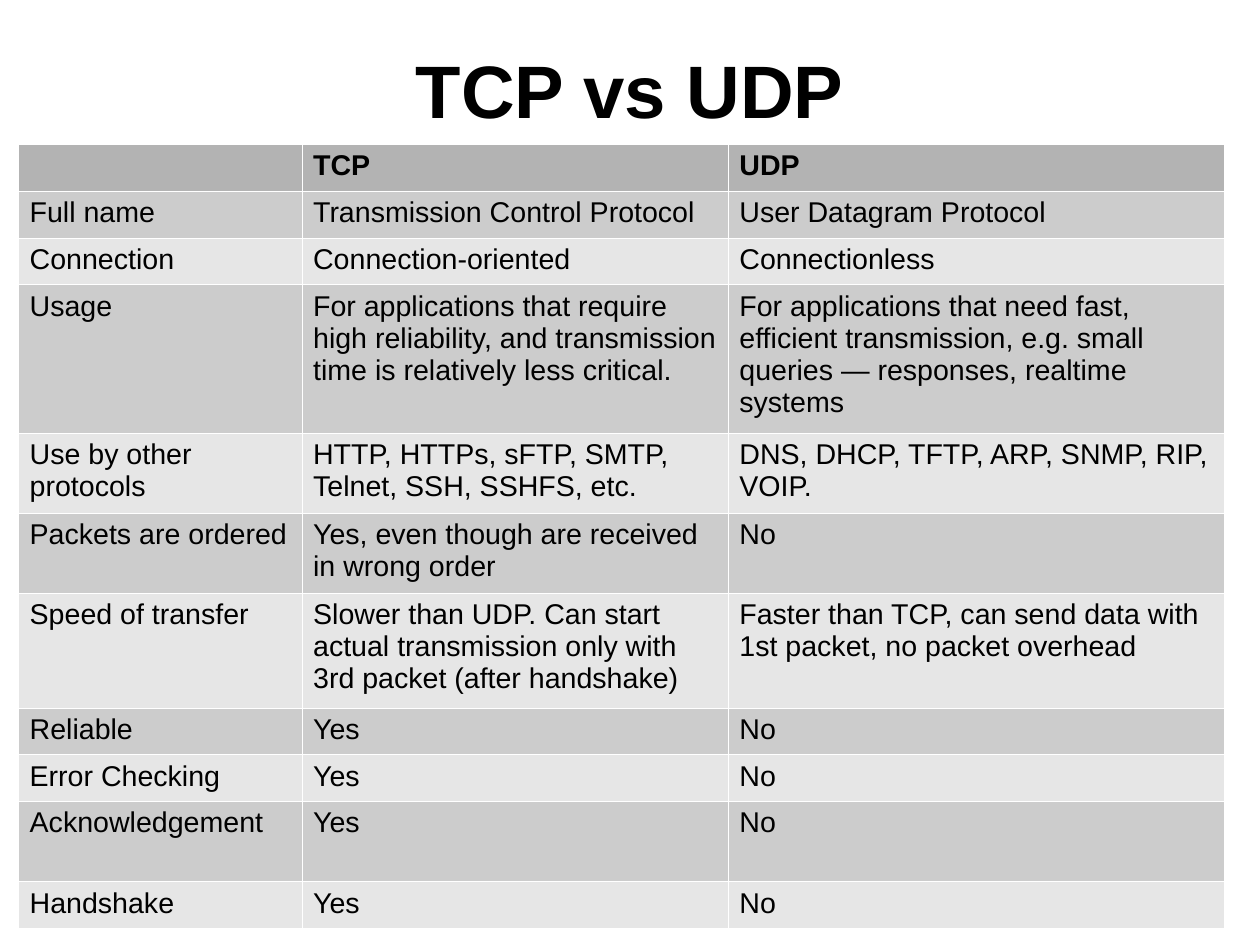
from dataclasses import dataclass

from lxml import etree
from pptx import Presentation
from pptx import util as u
from pptx.dml.color import RGBColor
from pptx.enum import text
from pptx.oxml import ns


@dataclass(frozen=True)
class Theme:
    font: str = "Arial"
    ink: str = "000000"
    header: str = "B3B3B3"
    bands: tuple = ("CCCCCC", "E6E6E6")
    border: str = "FFFFFF"
    border_width: float = 0.06
    title_size: float = 46.8
    body_size: float = 18


THEME = Theme()
SLIDE_SIZE = (u.Emu(10080625), u.Emu(7559675))
COLUMN_WIDTHS = (2.48, 3.73, 4.34)
COMPARISON = (
    (0.41, "", "TCP", "UDP"),
    (0.41, "Full name", "Transmission Control Protocol", "User Datagram Protocol"),
    (0.41, "Connection", "Connection-oriented", "Connectionless"),
    (1.3, "Usage",
     "For applications that require high reliability, and transmission time is relatively less critical.",
     "For applications that need fast, efficient transmission, e.g. small queries — responses, realtime systems"),
    (0.7, "Use by other protocols",
     "HTTP, HTTPs, sFTP, SMTP, Telnet, SSH, SSHFS, etc.",
     "DNS, DHCP, TFTP, ARP, SNMP, RIP, VOIP."),
    (0.7, "Packets are ordered", "Yes, even though are received in wrong order", "No"),
    (1, "Speed of transfer",
     "Slower than UDP. Can start actual transmission only with 3rd packet (after handshake)",
     "Faster than TCP, can send data with 1st packet, no packet overhead"),
    (0.41, "Reliable", "Yes", "No"),
    (0.41, "Error Checking", "Yes", "No"),
    (0.7, "Acknowledgement", "Yes", "No"),
    (0.41, "Handshake", "Yes", "No"),
)


def style_paragraph(paragraph, size, bold):
    font = paragraph.font
    font.name = THEME.font
    font.size = u.Pt(size)
    font.bold = bold
    font.color.rgb = RGBColor.from_string(THEME.ink)


def add_title(slide, left, top, width, height):
    shape = slide.shapes.add_textbox(*map(u.Inches, (left, top, width, height)))
    frame = shape.text_frame
    frame.word_wrap = True
    frame.vertical_anchor = text.MSO_ANCHOR.MIDDLE
    frame.margin_left = frame.margin_right = frame.margin_top = frame.margin_bottom = 0
    paragraph = frame.paragraphs[0]
    paragraph.text = "TCP vs UDP"
    paragraph.alignment = text.PP_ALIGN.CENTER
    style_paragraph(paragraph, THEME.title_size, True)


def add_borders(cell):
    properties = cell._tc.get_or_add_tcPr()
    for side in ("lnL", "lnR", "lnT", "lnB"):
        line = etree.SubElement(properties, ns.qn(f"a:{side}"), w=str(int(u.Pt(THEME.border_width))))
        fill = etree.SubElement(line, ns.qn("a:solidFill"))
        etree.SubElement(fill, ns.qn("a:srgbClr"), val=THEME.border)


def fill_cell(cell, wording, color, bold):
    cell.margin_left = cell.margin_right = u.Inches(0.1)
    cell.margin_top = cell.margin_bottom = u.Inches(0.05)
    add_borders(cell)
    cell.fill.solid()
    cell.fill.fore_color.rgb = RGBColor.from_string(color)
    paragraph = cell.text_frame.paragraphs[0]
    if wording:
        paragraph.text = wording
    style_paragraph(paragraph, THEME.body_size, bold)


def add_comparison(slide, left, top, width, height):
    table = slide.shapes.add_table(
        len(COMPARISON), len(COLUMN_WIDTHS),
        *map(u.Inches, (left, top, width, height))).table
    for column, column_width in zip(table.columns, COLUMN_WIDTHS):
        column.width = u.Inches(column_width)
    for index, (row, (row_height, *wordings)) in enumerate(zip(table.rows, COMPARISON)):
        row.height = u.Inches(row_height)
        color = THEME.bands[(index - 1) % 2] if index else THEME.header
        for cell, wording in zip(row.cells, wordings):
            fill_cell(cell, wording, color, index == 0)


def main():
    presentation = Presentation()
    presentation.slide_width, presentation.slide_height = SLIDE_SIZE
    slide = presentation.slides.add_slide(presentation.slide_layouts[6])
    add_title(slide, 0.55, 0.29, 9.92, 0.97)
    add_comparison(slide, 0.16, 1.26, sum(COLUMN_WIDTHS), sum(row[0] for row in COMPARISON))
    presentation.save("out.pptx")


if __name__ == "__main__":
    main()
